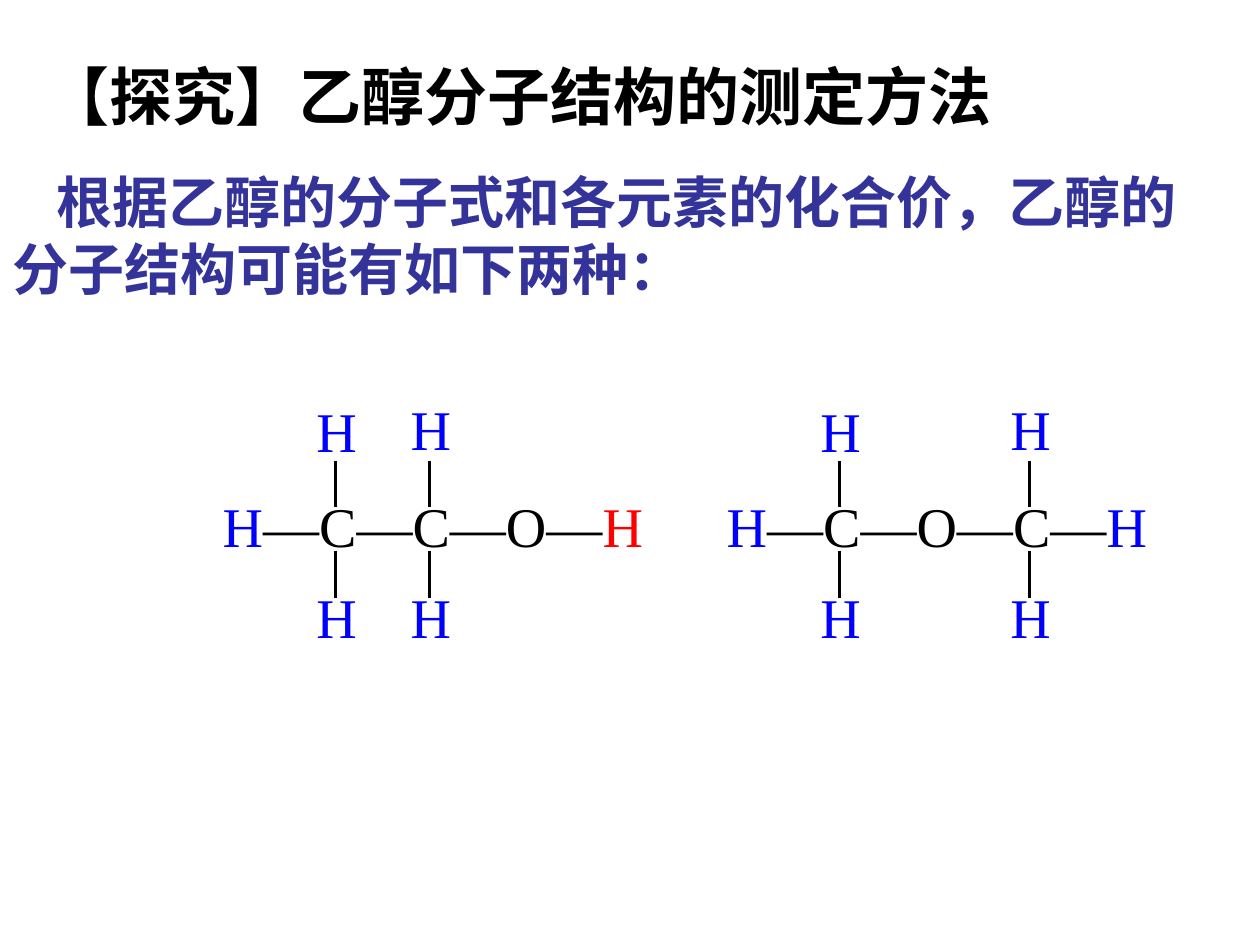
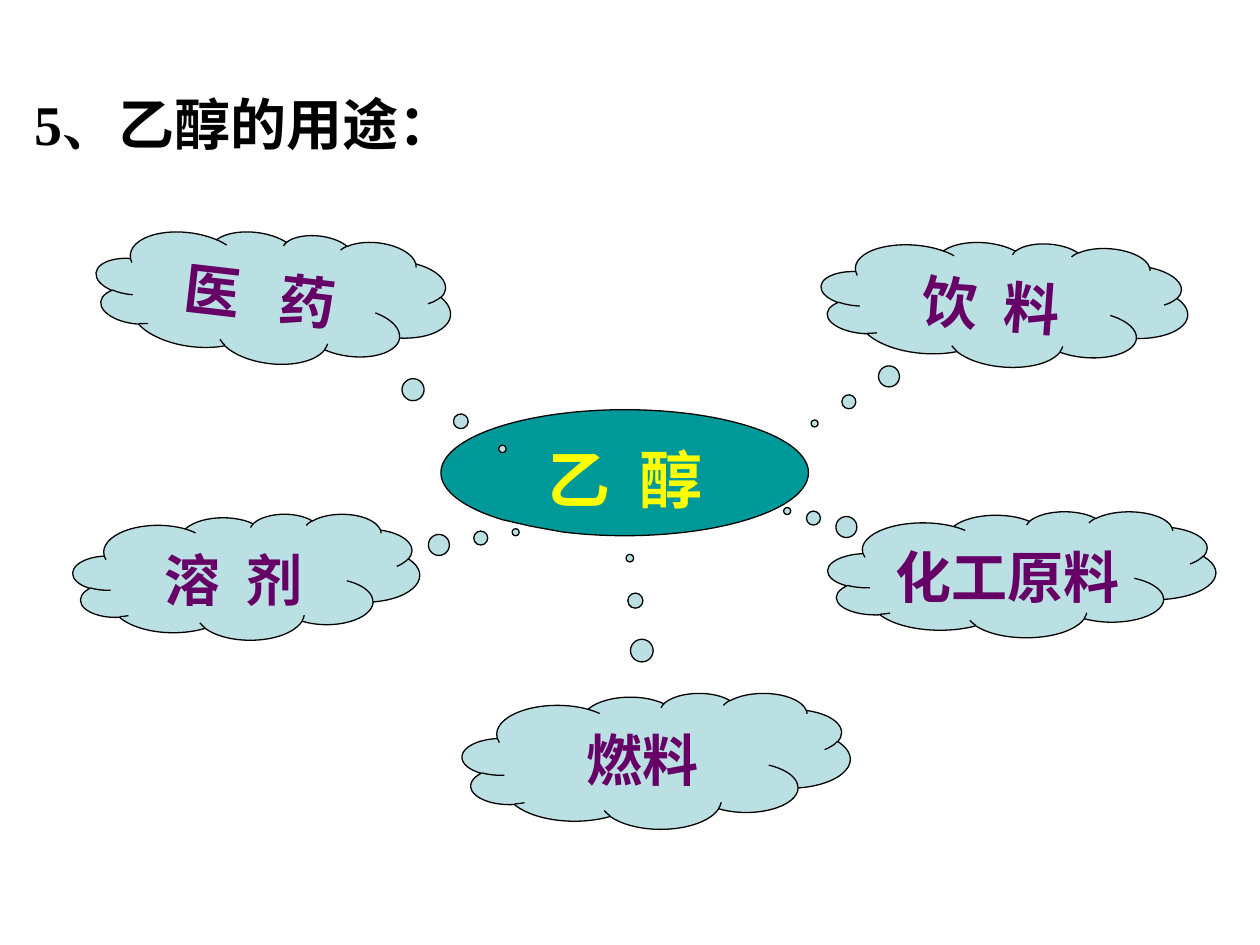
from dataclasses import dataclass

import lxml.etree
import pptx
import pptx.dml.color
import pptx.enum.shapes
import pptx.enum.text
import pptx.oxml.ns
import pptx.util
from pptx.util import Cm

HEITI = "Noto Sans CJK SC"
SERIF = "Times New Roman"
BLACK, BLUE, RED = "000000", "0000FF", "FF0000"
INDIGO, PURPLE, YELLOW = "333399", "660066", "FFFF00"
TEAL, PALE_TEAL = "009999", "BBE0E3"
LINE_HEIGHT = 1.2

ALIGN = pptx.enum.text.PP_ALIGN
ANCHOR = pptx.enum.text.MSO_ANCHOR
AUTO_SIZE = pptx.enum.text.MSO_AUTO_SIZE
SHAPE = pptx.enum.shapes.MSO_SHAPE


@dataclass(frozen=True)
class Run:
    text: str
    color: str = BLACK
    size: float = 32
    font: str = HEITI
    bold: bool = True
    spacing: float = 0


@dataclass(frozen=True)
class Box:
    """A place on the slide, in centimetres."""
    left: float
    top: float
    width: float
    height: float

    def lengths(self) -> tuple:
        return Cm(self.left), Cm(self.top), Cm(self.width), Cm(self.height)


@dataclass(frozen=True)
class Carbon:
    x: float
    upper_hydrogen_top: float


@dataclass(frozen=True)
class Molecule:
    left: float
    chain: tuple
    carbons: tuple


@dataclass(frozen=True)
class Bubble:
    """A callout; gap widens the space between its words, in points."""
    words: tuple
    box: Box
    tail: tuple
    rotation: float = 0
    gap: float = 0
    kind: int = SHAPE.CLOUD_CALLOUT
    fill: str = PALE_TEAL
    color: str = PURPLE
    size: float = 32

    def runs(self) -> list:
        first, *rest = (Run(word, self.color, self.size) for word in self.words)
        space = Run(" ", self.color, self.size, spacing=self.gap)
        return [first] + [run for word in rest for run in (space, word)]


def atom(text: str, color: str = BLACK) -> Run:
    return Run(text, color, font=SERIF, bold=False)


MOLECULES = (
    Molecule(4.24, (atom("H", BLUE), atom("—C—C—O—"), atom("H", RED)),
             (Carbon(6.76, 7.87), Carbon(8.66, 7.82))),
    Molecule(14.4, (atom("H", BLUE), atom("—C—O—C—"), atom("H", BLUE)),
             (Carbon(16.92, 7.87), Carbon(20.75, 7.82))),
)

BUBBLES = (
    Bubble(("乙", "醇"), Box(8.89, 8.26, 7.41, 2.54), (-0.255, 0.425), gap=8.5,
           kind=SHAPE.OVAL_CALLOUT, fill=TEAL, color=YELLOW, size=36),
    Bubble(("饮", "料"), Box(16.54, 4.85, 7.41, 2.54), (-0.49, 1.062), 4.3, 7.5),
    Bubble(("化工原料",), Box(16.69, 10.31, 7.82, 2.54), (-0.605, -0.503)),
    Bubble(("溶", "剂"), Box(1.47, 10.36, 6.99, 2.54), (0.777, -0.354), gap=7.5),
    Bubble(("医", "药"), Box(1.91, 4.65, 7.19, 2.67), (0.688, 0.941), 6.6, 15),
    Bubble(("燃料",), Box(9.32, 13.97, 7.82, 2.74), (-0.068, -1.492)),
)


def rgb(color: str) -> pptx.dml.color.RGBColor:
    return pptx.dml.color.RGBColor.from_string(color)


def add_runs(paragraph, runs) -> None:
    for item in runs:
        run = paragraph.add_run()
        run.text = item.text
        run.font.size = pptx.util.Pt(item.size)
        run.font.bold = item.bold
        run.font.color.rgb = rgb(item.color)
        run.font.name = item.font
        properties = run.font._element
        east_asian = lxml.etree.SubElement(properties, pptx.oxml.ns.qn("a:ea"))
        east_asian.set("typeface", item.font)
        if item.spacing:
            properties.set("spc", str(int(item.spacing * 100)))


def write_heiti(shape, runs, align=ALIGN.LEFT, anchor=ANCHOR.TOP,
                side_margin: float = 0.25, indent: float = 0) -> None:
    """Write one paragraph with even line height into a shape or placeholder."""
    frame = shape.text_frame
    frame.word_wrap = True
    frame.auto_size = AUTO_SIZE.NONE
    frame.vertical_anchor = anchor
    frame.margin_left = frame.margin_right = Cm(side_margin)
    frame.margin_top, frame.margin_bottom = Cm(0.25), Cm(0.13)
    paragraph = frame.paragraphs[0]
    properties = paragraph._p.get_or_add_pPr()
    properties.set("marL", "0")
    properties.set("indent", str(Cm(indent)))
    lxml.etree.SubElement(properties, pptx.oxml.ns.qn("a:buNone"))
    paragraph.alignment = align
    paragraph.space_before = pptx.util.Pt(0)
    paragraph.line_spacing = pptx.util.Pt(LINE_HEIGHT * runs[0].size)
    add_runs(paragraph, runs)


def place(shape, box: Box) -> None:
    shape.left, shape.top, shape.width, shape.height = box.lengths()


def add_atoms(group, box: Box, runs) -> None:
    frame = group.shapes.add_textbox(*box.lengths()).text_frame
    frame.word_wrap = False
    frame.auto_size = AUTO_SIZE.SHAPE_TO_FIT_TEXT
    add_runs(frame.paragraphs[0], runs)


def add_vertical_bond(group, x: float, top: float) -> None:
    bond = group.shapes.add_connector(
        pptx.enum.shapes.MSO_CONNECTOR.STRAIGHT,
        Cm(x), Cm(top), Cm(x), Cm(top + 0.94))
    bond.line.color.rgb = rgb(BLACK)
    bond.line.width = pptx.util.Pt(1.5)
    lxml.etree.SubElement(bond._element.spPr, pptx.oxml.ns.qn("a:effectLst"))


def add_molecule(slide, molecule: Molecule) -> None:
    group = slide.shapes.add_group_shape()
    add_atoms(group, Box(molecule.left, 9.78, 8.99, 1.63), molecule.chain)
    for carbon in molecule.carbons:
        for hydrogen_top in (carbon.upper_hydrogen_top, 11.61):
            add_atoms(group, Box(carbon.x - 0.63, hydrogen_top, 1.32, 1.63),
                      [atom("H", BLUE)])
        for bond_top in (9.29, 11.11):
            add_vertical_bond(group, carbon.x, bond_top)


def add_bubble(slide, bubble: Bubble) -> None:
    callout = slide.shapes.add_shape(bubble.kind, *bubble.box.lengths())
    callout.adjustments[0], callout.adjustments[1] = bubble.tail
    callout.rotation = bubble.rotation
    callout.shadow.inherit = False
    callout.fill.solid()
    callout.fill.fore_color.rgb = rgb(bubble.fill)
    callout.line.color.rgb = rgb(BLACK)
    callout.line.width = pptx.util.Pt(0.75)
    write_heiti(callout, bubble.runs(), align=ALIGN.CENTER)


def build_structure_slide(deck) -> None:
    slide = deck.slides.add_slide(deck.slide_layouts[1])
    title, statement = slide.shapes.title, slide.placeholders[1]
    place(title, Box(0.69, 0.91, 23.01, 1.78))
    write_heiti(title, [Run("【探究】乙醇分子结构的测定方法", size=36)])
    place(statement, Box(0, 3.12, 25.1, 2.97))
    write_heiti(statement, [Run(
        "根据乙醇的分子式和各元素的化合价，乙醇的分子结构可能有如下两种：",
        INDIGO)], indent=0.88)
    for molecule in MOLECULES:
        add_molecule(slide, molecule)


def build_uses_slide(deck) -> None:
    slide = deck.slides.add_slide(deck.slide_layouts[5])
    title = slide.shapes.title
    place(title, Box(0.69, 1.12, 13, 2.59))
    write_heiti(title, [Run("5、", font=SERIF), Run("乙醇的用途：")],
                anchor=ANCHOR.MIDDLE, side_margin=0)
    for bubble in BUBBLES:
        add_bubble(slide, bubble)


def main() -> None:
    deck = pptx.Presentation()
    deck.slide_width, deck.slide_height = Cm(25.4), Cm(19.05)
    build_structure_slide(deck)
    build_uses_slide(deck)
    deck.save("out.pptx")


if __name__ == "__main__":
    main()
